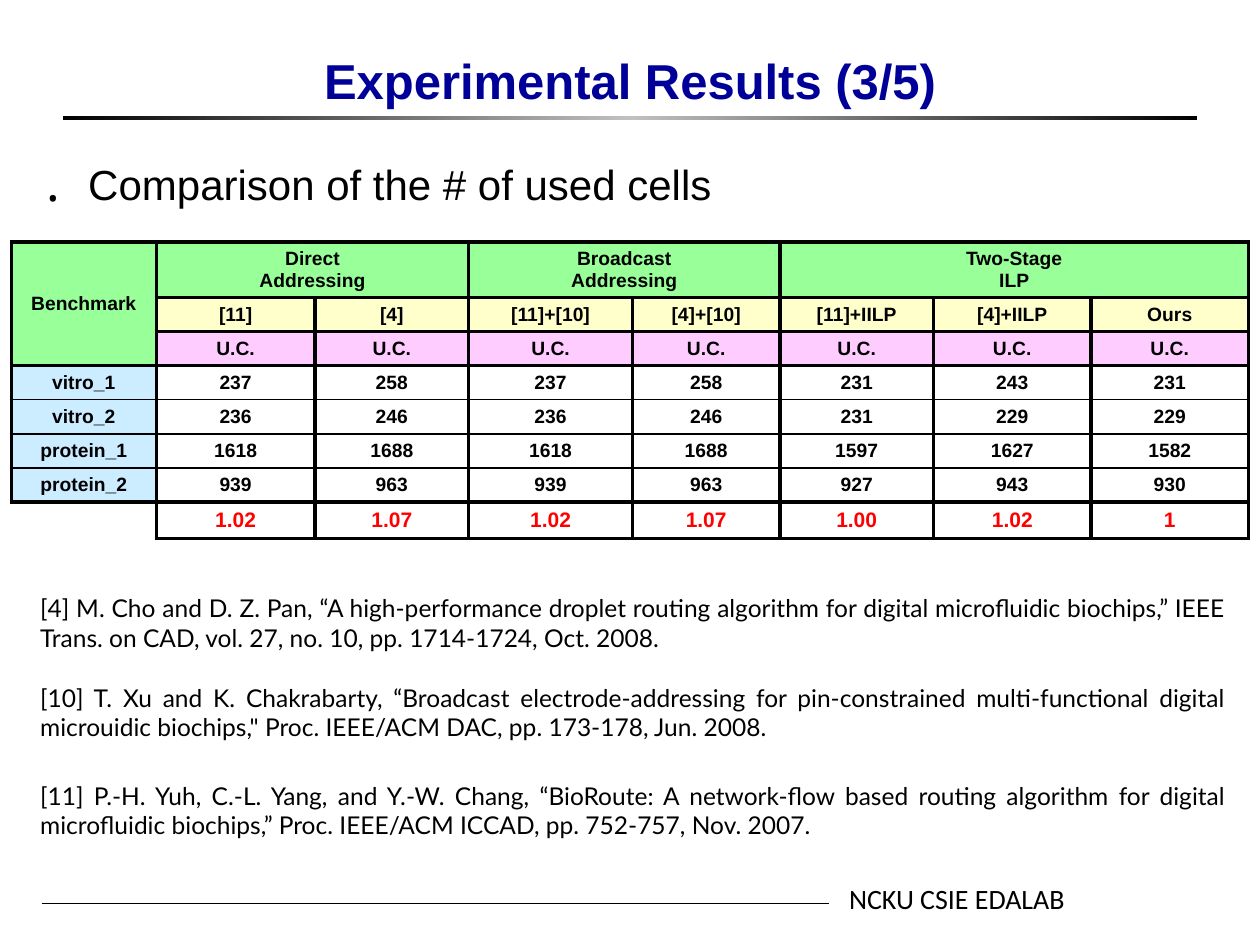
from copy import deepcopy
from pptx import Presentation
from pptx.dml.color import RGBColor
from pptx.enum.shapes import MSO_CONNECTOR, MSO_SHAPE
from pptx.enum.text import MSO_ANCHOR, MSO_AUTO_SIZE, PP_ALIGN
from pptx.oxml.ns import qn
from pptx.oxml.xmlchemy import OxmlElement
from pptx.util import Inches, Pt

COLORS = {
    "black": "000000", "navy": "000099", "silver": "C0C0C0", "red": "FF0000",
    "green": "99FF99", "yellow": "FFFFCC", "pink": "FFCCFF", "blue": "CCECFF",
}


def style(para, name, size, color="black", bold=False, align=None):
    font = para.font
    font.name, font.size, font.bold = name, Pt(size), bold
    font.color.rgb = RGBColor.from_string(COLORS[color])
    para.alignment = align


def add(parent, tag, **attrs):
    """Append a DrawingML element with the given attributes."""
    node = OxmlElement(tag)
    for key, value in attrs.items():
        node.set(key, str(value))
    parent.append(node)
    return node


prs = Presentation()
prs.slide_width, prs.slide_height = Inches(10), Inches(7.5)
slide = prs.slides.add_slide(prs.slide_layouts[1])
shapes = slide.shapes

# Title and the rule below it
title = shapes.title
title.left, title.top = Inches(0.75), Inches(0)
title.width, title.height = Inches(8.5), Inches(0.92)
frame = title.text_frame
frame.text = "Experimental Results (3/5)"
frame.vertical_anchor = MSO_ANCHOR.BOTTOM
frame.auto_size = MSO_AUTO_SIZE.NONE
style(frame.paragraphs[0], "Arial", 28, "navy", True, PP_ALIGN.CENTER)

rule = shapes.add_shape(MSO_SHAPE.RECTANGLE, Inches(0.5), Inches(0.92),
                        Inches(9), Inches(0.03))
rule.shadow.inherit = False
rule.line.fill.background()
rule.fill.gradient()
rule.fill.gradient_angle = 0
stops = rule.element.spPr.find(".//" + qn("a:gsLst"))
stops.append(deepcopy(stops[0]))
for stop, place, color in zip(rule.fill.gradient_stops, (0, 0.5, 1),
                              ("black", "silver", "black")):
    stop.position = place
    stop.color.rgb = RGBColor.from_string(COLORS[color])

# Bullet
body = slide.placeholders[1]
body.left, body.top = Inches(0.22), Inches(1.25)
body.width, body.height = Inches(8.92), Inches(5.61)
frame = body.text_frame
frame.text = "Comparison of the # of used cells"
frame.auto_size = MSO_AUTO_SIZE.NONE
para = frame.paragraphs[0]
para.line_spacing, para.space_before = 0.9, Pt(4.8)
props = para._p.get_or_add_pPr()
props.set("marL", str(Inches(0.38)))
props.set("indent", str(Inches(-0.38)))
add(add(props, "a:buClr"), "a:srgbClr", val=COLORS["black"])
add(props, "a:buSzPct", val=120000)
add(props, "a:buChar", char="․")
style(para, "Arial", 24)

# Table of used cells
rows = [
    ["Benchmark", "Direct\vAddressing", "", "Broadcast\vAddressing", "",
     "Two-Stage\vILP", "", ""],
    ["", "[11]", "[4]", "[11]+[10]", "[4]+[10]", "[11]+IILP", "[4]+IILP", "Ours"],
    [""] + ["U.C."] * 7,
    ["vitro_1", 237, 258, 237, 258, 231, 243, 231],
    ["vitro_2", 236, 246, 236, 246, 231, 229, 229],
    ["protein_1", 1618, 1688, 1618, 1688, 1597, 1627, 1582],
    ["protein_2", 939, 963, 939, 963, 927, 943, 930],
    ["", "1.02", "1.07", "1.02", "1.07", "1.00", "1.02", "1"],
]
widths = [1.15, 1.26, 1.22, 1.3, 1.17, 1.22, 1.25, 1.25]
heights = [0.44] + [0.27] * 6 + [0.29]
fills = ["green", "yellow", "pink"]
last = len(rows) - 1

table = shapes.add_table(len(rows), len(widths), Inches(0.09), Inches(1.92),
                         Inches(sum(widths)), Inches(sum(heights))).table
table.first_row = table.horz_banding = False
for column, width in zip(table.columns, widths):
    column.width = Inches(width)
for row, height in zip(table.rows, heights):
    row.height = Inches(height)

for r, row in enumerate(rows):
    for c, value in enumerate(row):
        cell = table.cell(r, c)
        corner = r == last and c == 0
        cell.text = str(value)
        cell.vertical_anchor = MSO_ANCHOR.MIDDLE
        if (c == 0 and r > 2) or (r == last and c < 7):
            cell.margin_top = cell.margin_bottom = 0
        size, color = (12, "red") if r == last else (11, "black")
        style(cell.text_frame.paragraphs[0], "Arial", size, color, True,
              PP_ALIGN.CENTER)

        props = cell._tc.get_or_add_tcPr()
        for side in "LRTB":
            edge = add(props, "a:ln" + side)
            if corner and side in "LB":
                add(edge, "a:noFill")
                continue
            thin = (side == "T" and 4 <= r <= 6) or (side == "B" and 3 <= r <= 5)
            edge.set("w", str(Pt(1 if thin else 2.25)))
            add(add(edge, "a:solidFill"), "a:srgbClr", val=COLORS["black"])

        if r < 3:
            tint = "green" if c == 0 else fills[r]
        else:
            tint = "blue" if c == 0 and not corner else None
        if tint:
            cell.fill.solid()
            cell.fill.fore_color.rgb = RGBColor.from_string(COLORS[tint])
        else:
            cell.fill.background()

for top, left, bottom, right in [(0, 0, 2, 0), (0, 1, 0, 2), (0, 3, 0, 4),
                                 (0, 5, 0, 7)]:
    table.cell(top, left).merge(table.cell(bottom, right))

# References
notes = [
    (4.66, "[4] M. Cho and D. Z. Pan, “A high-performance droplet routing algorithm "
     "for digital microfluidic biochips,” IEEE Trans. on CAD, vol. 27, no. 10, "
     "pp. 1714-1724, Oct. 2008."),
    (5.37, "[10] T. Xu and K. Chakrabarty, “Broadcast electrode-addressing for "
     "pin-constrained multi-functional digital microuidic biochips,\" Proc. "
     "IEEE/ACM DAC, pp. 173-178, Jun. 2008."),
    (6.15, "[11] P.-H. Yuh, C.-L. Yang, and Y.-W. Chang, “BioRoute: A network-flow "
     "based routing algorithm for digital microfluidic biochips,” Proc. IEEE/ACM "
     "ICCAD, pp. 752-757, Nov. 2007."),
]
for top, text in notes:
    frame = shapes.add_textbox(Inches(0.22), Inches(top), Inches(9.61),
                               Inches(0.57)).text_frame
    frame.word_wrap = True
    frame.text = text
    style(frame.paragraphs[0], "Lato", 14, align=PP_ALIGN.JUSTIFY)

# Footer
line = shapes.add_connector(MSO_CONNECTOR.STRAIGHT, Inches(0.33), Inches(7.17),
                            Inches(6.58), Inches(7.17))
line.line.width = Pt(0.5)
line.line.color.rgb = RGBColor.from_string(COLORS["black"])
add(line.element.spPr, "a:effectLst")

frame = shapes.add_textbox(Inches(6.64), Inches(6.95), Inches(2.19),
                           Inches(0.37)).text_frame
frame.word_wrap = True
frame.text = "NCKU CSIE EDALAB"
style(frame.paragraphs[0], "Calibri", 16)

prs.save("out.pptx")
